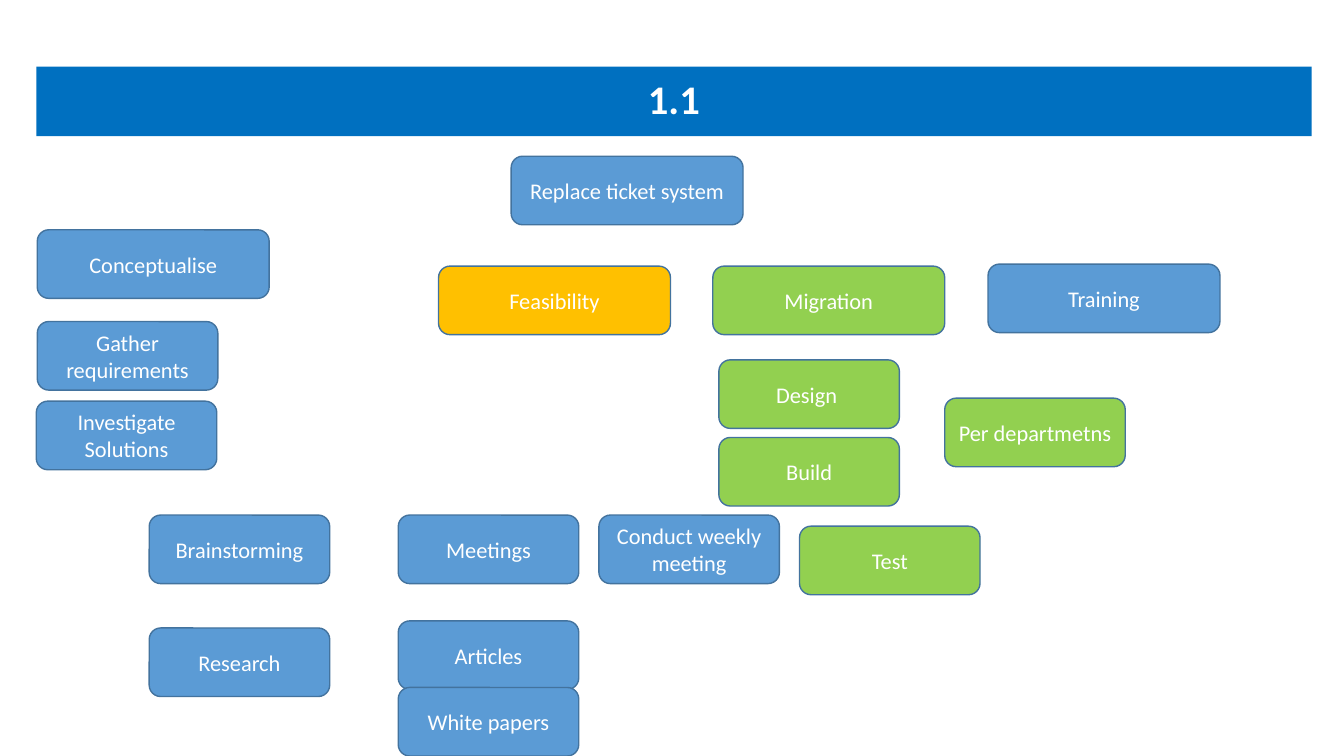
from dataclasses import dataclass

from pptx import Presentation
from pptx.dml.color import RGBColor
from pptx.enum.shapes import MSO_SHAPE
from pptx.enum.text import MSO_ANCHOR, PP_ALIGN
from pptx.shapes.autoshape import Shape
from pptx.slide import Slide
from pptx.util import Emu, Pt

EMU_PER_PX = 9144  # 100 px to the inch
SLIDE_WIDTH, SLIDE_HEIGHT = 1333, 750
CARD_HEIGHT = 68
PHASE_WIDTH, TASK_WIDTH = 230, 179

BANNER_BLUE = "0070C0"
BLUE, GREEN, AMBER = "5B9BD5", "92D050", "FFC000"
OUTLINE, WHITE = "43739E", "FFFFFF"

TITLE_FONT = {"name": "Calibri", "size": Pt(29), "bold": True}
CARD_FONT = {"name": "Calibri", "size": Pt(16), "bold": False}


@dataclass(frozen=True)
class Card:
    text: str
    left: int
    top: int
    width: int = TASK_WIDTH
    fill: str = BLUE


CARDS = [
    Card("Migration", 707, 264, PHASE_WIDTH, GREEN),
    Card("Conceptualise", 37, 228, PHASE_WIDTH),
    Card("Replace ticket system", 507, 155, PHASE_WIDTH),
    Card("Training", 980, 262, PHASE_WIDTH),
    Card("Feasibility", 435, 264, PHASE_WIDTH, AMBER),
    Card("Investigate Solutions", 36, 398),
    Card("Brainstorming", 148, 511),
    Card("Research", 148, 623),
    Card("Meetings", 395, 511),
    Card("Articles", 395, 616),
    Card("White papers", 395, 682),
    Card("Conduct weekly meeting", 594, 511),
    Card("Gather requirements", 37, 319),
    Card("Design ", 713, 357, fill=GREEN),
    Card("Build", 713, 434, fill=GREEN),
    Card("Test", 793, 522, fill=GREEN),
    Card("Per departmetns", 937, 395, fill=GREEN),
]


def px(length: int) -> Emu:
    return Emu(length * EMU_PER_PX)


def color(hex_code: str) -> RGBColor:
    return RGBColor.from_string(hex_code)


def paint(shape: Shape, fill: str) -> None:
    shape.fill.solid()
    shape.fill.fore_color.rgb = color(fill)


def write_centred(shape: Shape, text: str, font_format: dict) -> None:
    frame = shape.text_frame
    frame.word_wrap = True
    frame.vertical_anchor = MSO_ANCHOR.MIDDLE
    para = frame.paragraphs[0]
    para.alignment = PP_ALIGN.CENTER
    span = para.add_run()
    span.text = text
    for name, value in font_format.items():
        setattr(span.font, name, value)
    span.font.color.rgb = color(WHITE)


def format_title(page: Slide, text: str) -> None:
    title = page.shapes.title
    place = {"left": 36, "top": 66, "width": 1265, "height": 69}
    for name, value in place.items():
        setattr(title, name, px(value))
    paint(title, BANNER_BLUE)
    write_centred(title, text, TITLE_FONT)
    title.text_frame.paragraphs[0].line_spacing = 0.9


def draw_card(page: Slide, card: Card) -> None:
    box = page.shapes.add_shape(
        MSO_SHAPE.ROUNDED_RECTANGLE,
        px(card.left), px(card.top), px(card.width), px(CARD_HEIGHT),
    )
    box.shadow.inherit = False
    paint(box, card.fill)
    box.line.color.rgb = color(OUTLINE)
    box.line.width = Pt(1)
    write_centred(box, card.text, CARD_FONT)


def main() -> None:
    deck = Presentation()
    deck.slide_width, deck.slide_height = px(SLIDE_WIDTH), px(SLIDE_HEIGHT)
    title_only = deck.slide_layouts.get_by_name("Title Only")
    page = deck.slides.add_slide(title_only)
    format_title(page, "1.1")
    for card in CARDS:
        draw_card(page, card)
    deck.save("out.pptx")


if __name__ == "__main__":
    main()
